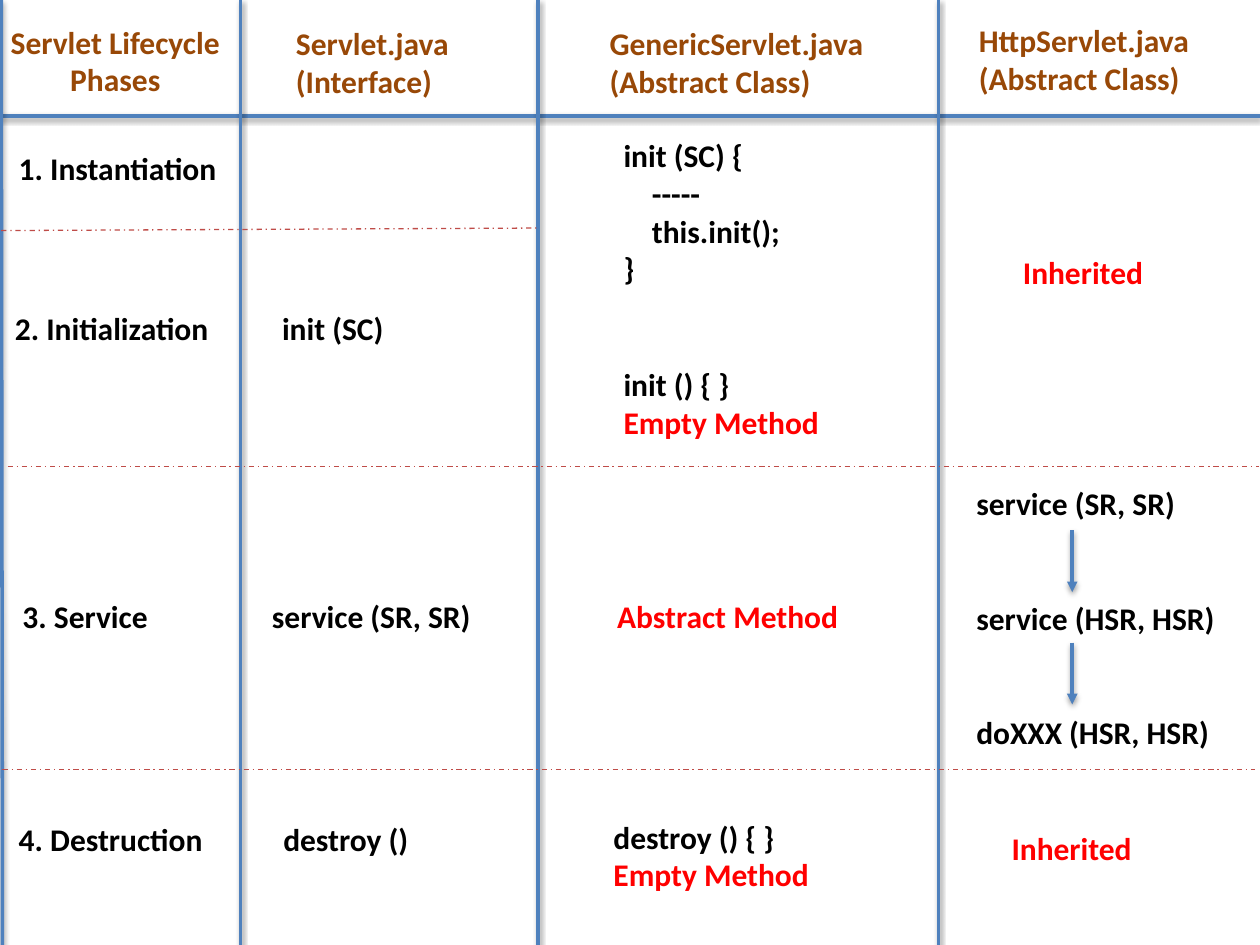
from lxml.etree import SubElement as Sub
from pptx import Presentation
from pptx.dml.color import RGBColor as Rgb
from pptx.enum.dml import MSO_LINE as Dash
from pptx.enum.shapes import MSO_CONNECTOR as Conn
from pptx.enum.text import MSO_AUTO_SIZE as Fit, PP_ALIGN as Align
from pptx.oxml.ns import qn
from pptx.util import Inches, Pt

BLACK, BROWN, RED, BLUE, ROSE = "000000", "984807", "FF0000", "4F81BD", "BF4C48"
SIZE, ROW, PAD = 18, 22, 0.1

HEADS = [
    (2.25, 0.14, 1.58, "Servlet.java\n(Interface)"),
    (4.74, 0.14, 2.26, "GenericServlet.java\n(Abstract Class)"),
    (7.67, 0.12, 1.97, "HttpServlet.java\n(Abstract Class)"),
]
CELLS = [
    (0.05, 1.13, 1.79, "1. Instantiation"),
    (0.02, 2.4, 1.74, "2. Initialization"),
    (0.08, 4.69, 1.52, "3. Service"),
    (0.05, 6.46, 1.72, "4. Destruction"),
    (2.14, 2.4, 1.36, "init (SC)"),
    (2.06, 4.69, 1.81, "service (SR, SR)"),
    (2.15, 6.46, 1.36, "destroy ()"),
    (4.85, 1.03, 1.79, "init (SC) {\n    -----\n    this.init();\n}"),
    (4.85, 2.85, 1.79, "init () { }\nEmpty Method"),
    (4.77, 6.44, 2.22, "destroy () { }\nEmpty Method"),
]
NOTES = [
    (4.8, 4.69, 1.97, "Abstract Method"),
    (8.02, 1.96, 1.16, "Inherited"),
    (7.93, 6.53, 1.16, "Inherited"),
]
CALLS = (7.65, 3.79, 2.11, "service (SR, SR)\nservice (HSR, HSR)\ndoXXX (HSR, HSR)")
RULES = [(0, 0.92, 10, 0.92), (0.01, 0, 0.02, 7.5)] + [
    (x, 0, x, 7.5) for x in (1.91, 4.27, 7.45)]
DASHES = [(0.01, 1.83, 4.27, 1.81), (0.06, 3.7, 9.99, 3.7), (0.02, 6.11, 9.96, 6.11)]
ARROWS = [(8.51, y, 8.51, y + 0.49) for y in (4.21, 5.1)]

deck = Presentation()
deck.slide_width, deck.slide_height = Inches(10), Inches(7.5)
slide = deck.slides.add_slide(deck.slide_layouts[6])


def write(x, y, w, text, color=BLACK, align=Align.LEFT, gap=0, wrap=True, rows=None):
    lines = text.split("\n")
    high = PAD + ((rows or len(lines)) * ROW + gap * (len(lines) - 1)) / 72
    box = slide.shapes.add_textbox(Inches(x), Inches(y), Inches(w), Inches(high))
    frame = box.text_frame
    frame.word_wrap = wrap
    frame.auto_size = Fit.SHAPE_TO_FIT_TEXT
    for i, line in enumerate(lines):
        para = frame.paragraphs[0] if i == 0 else frame.add_paragraph()
        para.alignment = align
        if i and gap:
            para.space_before = Pt(gap)
        run = para.add_run()
        run.text = line
        font = run.font
        font.name, font.size, font.bold = "Calibri", Pt(SIZE), True
        font.color.rgb = Rgb.from_string(RED if line == "Empty Method" else color)


def draw(ends, color=BLUE, width=2, dash=None, head=False, shade=True):
    line = slide.shapes.add_connector(Conn.STRAIGHT, *map(Inches, ends))
    line.line.color.rgb = Rgb.from_string(color)
    line.line.width = Pt(width)
    if dash:
        line.line.dash_style = dash
    props = line._element.spPr
    if head:
        Sub(props.find(qn("a:ln")), qn("a:tailEnd"), type="triangle")
    fx = Sub(props, qn("a:effectLst"))
    if shade:
        cast = Sub(fx, qn("a:outerShdw"), blurRad="40000", dist="20000",
                   dir="5400000", rotWithShape="0")
        tint = Sub(cast, qn("a:srgbClr"), val=BLACK)
        Sub(tint, qn("a:alpha"), val="38000")


write(-0.06, 0.13, 1.95, "Servlet Lifecycle Phases", color=BROWN, align=Align.CENTER, rows=2)
for head in HEADS:
    write(*head, color=BROWN)
for cell in CELLS:
    write(*cell)
for note in NOTES:
    write(*note, color=RED, wrap=False)
write(*CALLS, gap=2 * ROW)
for ends in ARROWS:
    draw(ends, head=True)
for ends in RULES:
    draw(ends)
for ends in DASHES:
    draw(ends, color=ROSE, width=0.75, dash=Dash.DASH_DOT, shade=False)

deck.save("out.pptx")
